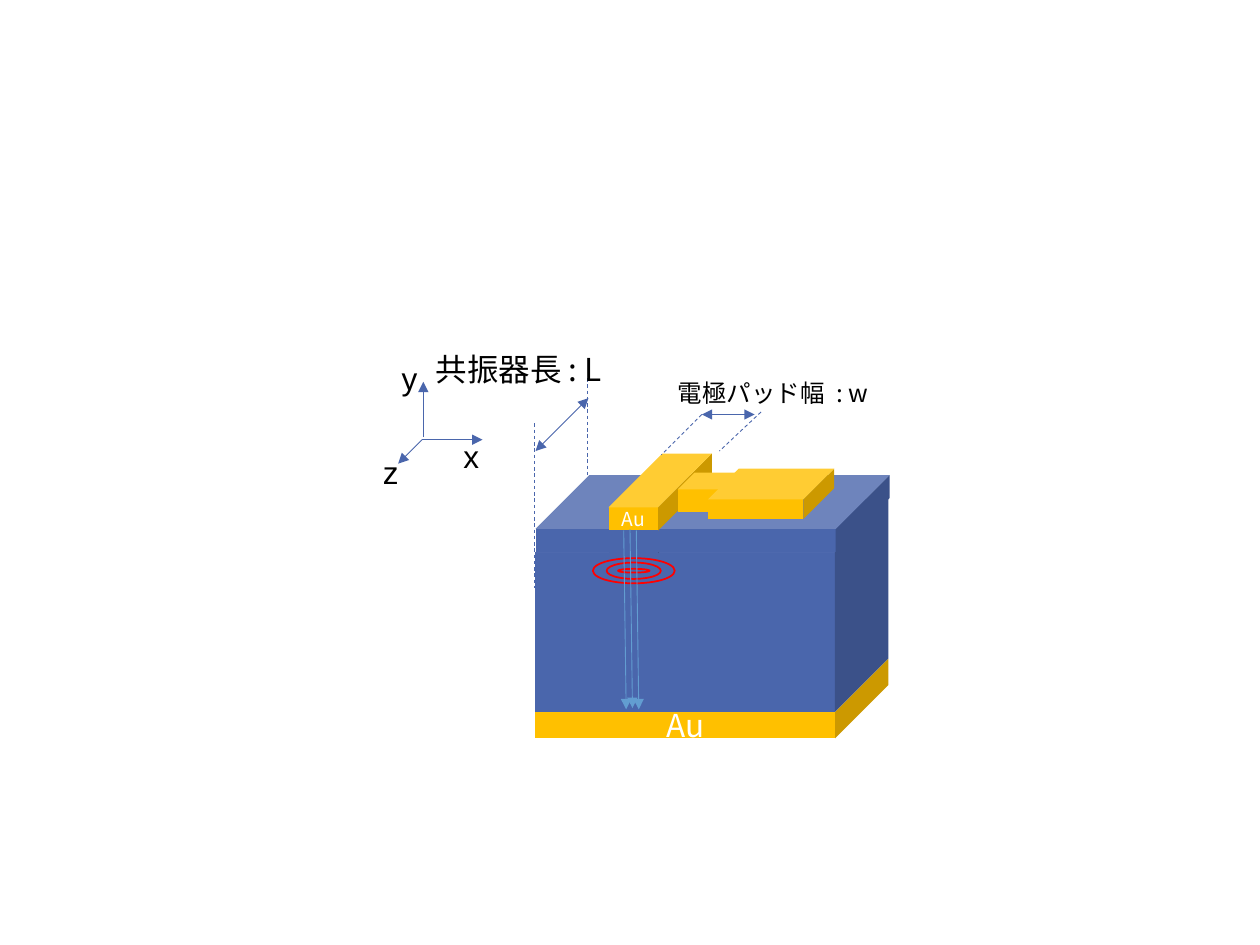
from lxml import etree
from pptx import Presentation
from pptx.dml.color import RGBColor
from pptx.enum.dml import MSO_LINE
from pptx.enum.shapes import MSO_CONNECTOR, MSO_SHAPE
from pptx.enum.text import MSO_ANCHOR, MSO_AUTO_SIZE, PP_ALIGN
from pptx.oxml.ns import qn
from pptx.util import Inches, Pt

STRAIGHT = MSO_CONNECTOR.STRAIGHT
CUBE, OVAL = MSO_SHAPE.CUBE, MSO_SHAPE.OVAL
DASH = MSO_LINE.DASH
MIDDLE = MSO_ANCHOR.MIDDLE
FIT = MSO_AUTO_SIZE.SHAPE_TO_FIT_TEXT
LEFT, CENTER = PP_ALIGN.LEFT, PP_ALIGN.CENTER

BLUE = RGBColor(0x4A, 0x66, 0xAC)
SKY = RGBColor(0x62, 0x9D, 0xD1)
GOLD = RGBColor(0xFF, 0xC0, 0x00)
RED = RGBColor(0xFF, 0x00, 0x00)
BLACK = RGBColor(0x00, 0x00, 0x00)
WHITE = RGBColor(0xFF, 0xFF, 0xFF)
CJK = "Noto Sans CJK JP"


def add_text(tf, text, size=18, font=CJK, color=BLACK, align=LEFT):
    tf.word_wrap = True
    p = tf.paragraphs[0]
    p.alignment = align
    r = p.add_run()
    r.text = text
    r.font.size = Pt(size)
    r.font.name = font
    r.font.color.rgb = color
    etree.SubElement(r.font._element, qn("a:ea")).set("typeface", font)


def add_line(group, x1, y1, x2, y2, color=BLUE, dash=None, ends=()):
    c = group.shapes.add_connector(STRAIGHT, Inches(x1), Inches(y1), Inches(x2), Inches(y2))
    c.line.color.rgb = color
    c.line.width = Pt(0.5)
    if dash:
        c.line.dash_style = dash
    ln = c.line._get_or_add_ln()
    for end in ends:
        etree.SubElement(ln, qn("a:" + end)).set("type", "triangle")
    etree.SubElement(c._element.spPr, qn("a:effectLst"))


prs = Presentation()
prs.slide_width, prs.slide_height = Inches(10), Inches(7.5)
s = prs.slides.add_slide(prs.slide_layouts[6])

axes = s.shapes.add_group_shape()
for x1, y1, x2, y2 in [(3.36, 3.47, 3.36, 3.03), (3.35, 3.49, 3.16, 3.68), (3.35, 3.49, 3.83, 3.49)]:
    add_line(axes, x1, y1, x2, y2, ends=["tailEnd"])
for name, x, y in [("x", 3.58, 3.42), ("y", 3.09, 2.8), ("z", 2.94, 3.55)]:
    tb = axes.shapes.add_textbox(Inches(x), Inches(y), Inches(0.4), Inches(0.4))
    tb.text_frame.auto_size = FIT
    add_text(tb.text_frame, name, font="Arial")

device = s.shapes.add_group_shape()
add_line(device, 4.66, 3, 4.66, 4.32, dash=DASH)
labels = [
    ("電極パッド幅  : w", 14, 5.28, 2.95, 1.91, 0.34),
    ("共振器長 : L", 18, 3.36, 2.73, 2.05, 0.4),
]
for text, size, x, y, w, h in labels:
    tb = device.shapes.add_textbox(Inches(x), Inches(y), Inches(w), Inches(h))
    tb.text_frame.auto_size = FIT
    add_text(tb.text_frame, text, size=size)

blocks = [
    (4.25, 5.23, 2.8, 0.63, 0.67, GOLD, 18),
    (4.25, 3.96, 2.8, 1.69, 0.25, BLUE, None),
    (4.83, 3.78, 0.82, 0.61, 0.7, BLUE, None),
    (4.25, 3.77, 2.81, 0.61, 0.7, BLUE, None),
    (4.83, 3.6, 0.82, 0.61, 0.7, GOLD, 11),
    (5.38, 3.75, 0.48, 0.31, 0.43, GOLD, None),
    (5.62, 3.72, 1, 0.4, 0.61, GOLD, None),
]
for x, y, w, h, depth, color, size in blocks:
    sp = device.shapes.add_shape(CUBE, Inches(x), Inches(y), Inches(w), Inches(h))
    sp.adjustments[0] = depth
    sp.shadow.inherit = False
    sp.fill.solid()
    sp.fill.fore_color.rgb = color
    sp.line.fill.background()
    if size:
        sp.text_frame.vertical_anchor = MIDDLE
        add_text(sp.text_frame, "Au", size=size, color=WHITE, align=CENTER)

for w, h in [(0.43, 0.13), (0.25, 0.03), (0.65, 0.2)]:
    sp = device.shapes.add_shape(OVAL, Inches(5.03 - w / 2), Inches(4.53 - h / 2), Inches(w), Inches(h))
    sp.shadow.inherit = False
    sp.fill.background()
    sp.line.color.rgb = RED
    sp.line.width = Pt(1)

for x, y in [(5.05, 4.21), (4.95, 4.21), (5, 4.2)]:
    add_line(device, x, y, x + 0.02, y + 1.42, color=SKY, ends=["tailEnd"])

for x1, y1, x2, y2 in [(4.25, 3.58, 4.67, 3.16), (5.57, 3.29, 5.99, 3.29)]:
    add_line(device, x1, y1, x2, y2, ends=["headEnd", "tailEnd"])
for x1, y1, x2, y2 in [(4.24, 3.36, 4.24, 4.67), (5.57, 3.29, 5.25, 3.61), (6.04, 3.27, 5.71, 3.58)]:
    add_line(device, x1, y1, x2, y2, dash=DASH)

prs.save("out.pptx")
